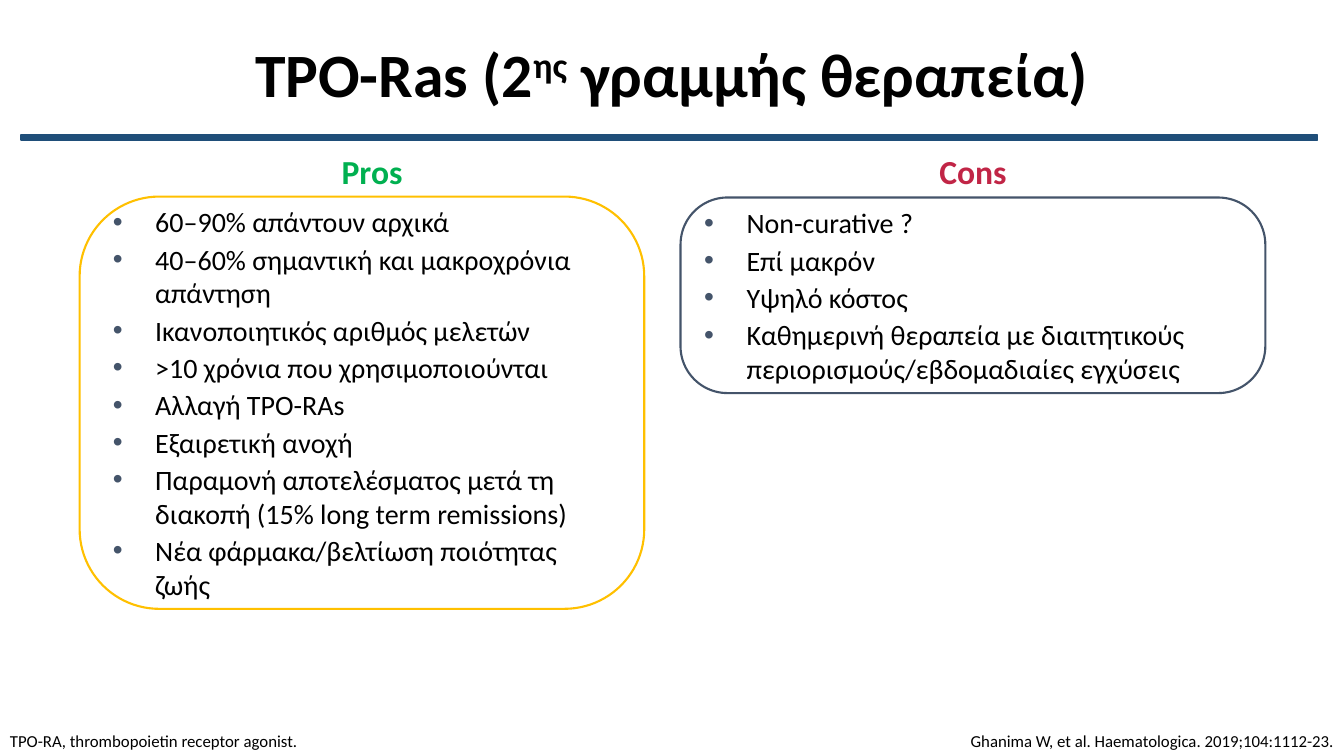
from lxml.etree import SubElement
from pptx import Presentation
from pptx.dml.color import RGBColor
from pptx.enum.shapes import MSO_SHAPE as Shape
from pptx.enum.text import MSO_ANCHOR as Anchor, PP_ALIGN as Align
from pptx.oxml.ns import qn
from pptx.util import Inches, Pt

BLACK = RGBColor(0x00, 0x00, 0x00)
GREEN = RGBColor(0x00, 0xB0, 0x50)
RED = RGBColor(0xC1, 0x25, 0x46)
AMBER = RGBColor(0xFF, 0xC0, 0x00)
SLATE = RGBColor(0x44, 0x54, 0x6A)
NAVY = RGBColor(0x1F, 0x4E, 0x79)

FONT = "Calibri"
BULLET_INDENT = Inches(0.42)

PROS = [
    "60–90% απάντουν αρχικά",
    "40–60% σημαντική και μακροχρόνια απάντηση",
    "Ικανοποιητικός αριθμός μελετών",
    ">10 χρόνια που χρησιμοποιούνται",
    "Αλλαγή TPO-RAs",
    "Εξαιρετική ανοχή",
    "Παραμονή αποτελέσματος μετά τη διακοπή (15% long term remissions)",
    "Νέα φάρμακα/βελτίωση ποιότητας ζωής",
]
CONS = [
    "Non-curative ?",
    "Επί μακρόν",
    "Υψηλό κόστος",
    "Καθημερινή θεραπεία με διαιτητικούς περιορισμούς/εβδομαδιαίες εγχύσεις",
]


def style_run(run, size, color=BLACK, bold=False):
    run.font.name = FONT
    run.font.size = Pt(size)
    run.font.color.rgb = color
    run.font.bold = bold


def add_label(slide, box, parts, size, color=BLACK, bold=False,
              align=Align.LEFT, anchor=Anchor.TOP, line_spacing=1.0):
    """Add a one-paragraph text box and return its runs, one per part."""
    frame = slide.shapes.add_textbox(*map(Inches, box)).text_frame
    frame.word_wrap = True
    frame.vertical_anchor = anchor
    paragraph = frame.paragraphs[0]
    paragraph.alignment = align
    paragraph.line_spacing = line_spacing
    for part in parts:
        run = paragraph.add_run()
        run.text = part
        style_run(run, size, color, bold)
    return paragraph.runs


def add_title(slide):
    _, ordinal, _ = add_label(
        slide, (0.63, 0, 12.07, 1.53), ["TPO-Ras (2", "ης", " γραμμής θεραπεία)"],
        44, bold=True, align=Align.CENTER, anchor=Anchor.MIDDLE, line_spacing=0.9)
    ordinal.font._element.set("baseline", "30000")


def add_rule(slide):
    rule = slide.shapes.add_shape(
        Shape.RECTANGLE, *map(Inches, (0.21, 1.34, 12.86, 0.05)))
    rule.shadow.inherit = False
    rule.fill.solid()
    rule.fill.fore_color.rgb = NAVY
    rule.line.color.rgb = NAVY
    rule.line.width = Pt(1)


def add_bullet(paragraph):
    properties = paragraph._p.get_or_add_pPr()
    properties.set("marL", str(BULLET_INDENT))
    properties.set("indent", str(-BULLET_INDENT))
    bullet_color = SubElement(properties, qn("a:buClr"))
    SubElement(bullet_color, qn("a:srgbClr"), val=str(SLATE))
    SubElement(properties, qn("a:buFont"), typeface="Arial")
    SubElement(properties, qn("a:buChar"), char="•")


def add_argument_card(slide, box, rounding, outline, arguments):
    card = slide.shapes.add_shape(Shape.ROUNDED_RECTANGLE, *map(Inches, box))
    card.adjustments[0] = rounding
    card.shadow.inherit = False
    card.fill.background()
    card.line.color.rgb = outline
    card.line.width = Pt(1.5)
    frame = card.text_frame
    frame.word_wrap = True
    frame.vertical_anchor = Anchor.MIDDLE
    frame.text = "\n".join(arguments)
    for paragraph in frame.paragraphs:
        add_bullet(paragraph)
        paragraph.alignment = Align.LEFT
        paragraph.space_after = Pt(2.7)
        style_run(paragraph.runs[0], 20)


def add_heading(slide, left, heading, color):
    add_label(slide, (left, 1.45, 1.78, 0.5), [heading], 24, color,
              bold=True, align=Align.CENTER)


def add_footnote(slide, left, width, note, align):
    add_label(slide, (left, 7.22, width, 0.28), [note], 12, align=align,
              anchor=Anchor.BOTTOM, line_spacing=0.9)


def main():
    deck = Presentation()
    deck.slide_width, deck.slide_height = Inches(13.33), Inches(7.5)
    slide = deck.slides.add_slide(deck.slide_layouts[6])

    add_title(slide)
    add_footnote(slide, 0, 5.5, "TPO-RA, thrombopoietin receptor agonist.",
                 Align.LEFT)
    add_footnote(slide, 2.16, 11.17,
                 "Ghanima W, et al. Haematologica. 2019;104:1112-23.", Align.RIGHT)
    add_argument_card(slide, (0.79, 1.95, 5.6, 4.09), 0.193, AMBER, PROS)
    add_argument_card(slide, (6.75, 1.96, 5.8, 1.94), 0.24, SLATE, CONS)
    add_heading(slide, 2.8, "Pros", GREEN)
    add_heading(slide, 8.76, "Cons", RED)
    add_rule(slide)

    deck.save("out.pptx")


if __name__ == "__main__":
    main()
